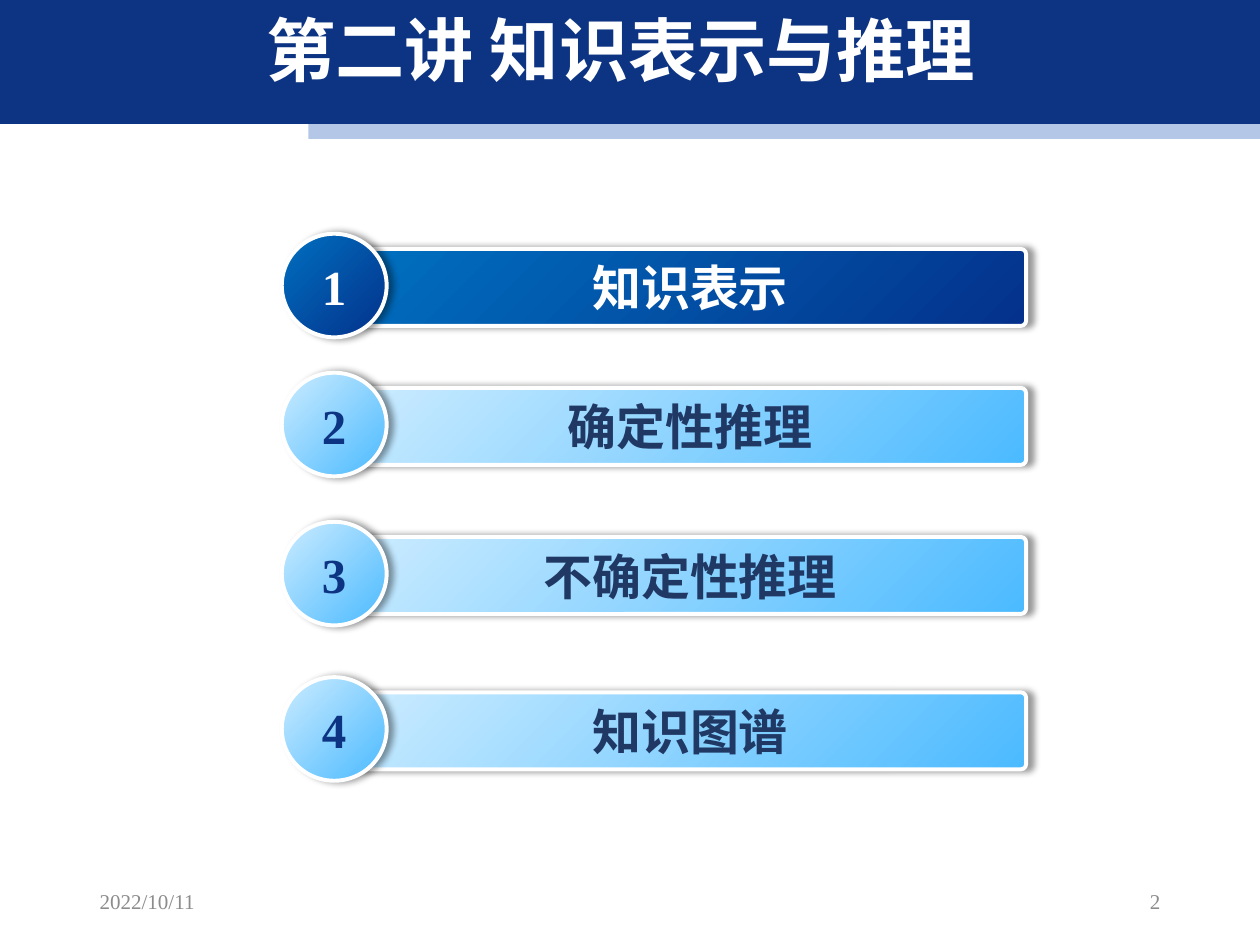
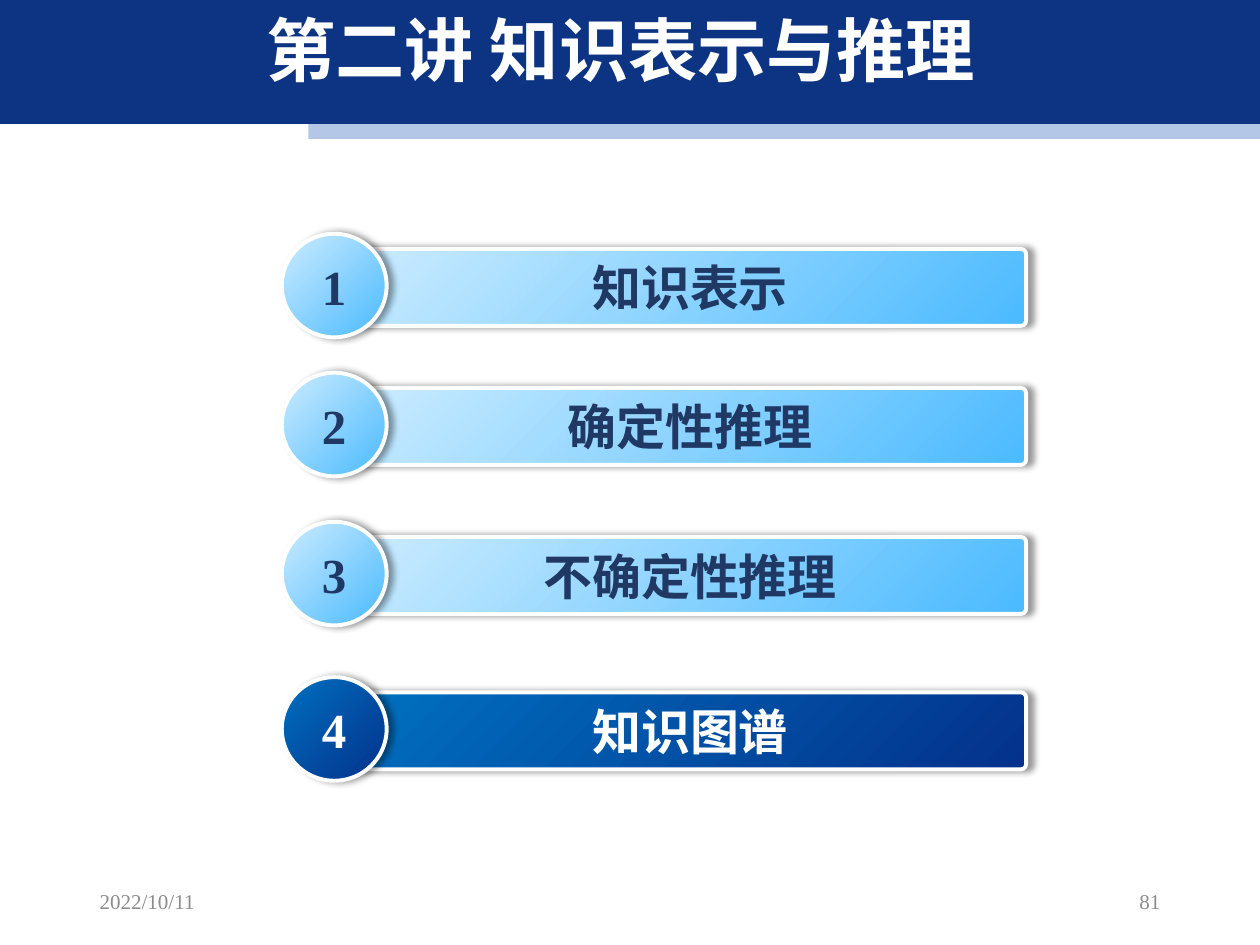
from lxml import etree
from pptx import Presentation
from pptx.dml.color import RGBColor
from pptx.enum.shapes import MSO_SHAPE
from pptx.enum.text import MSO_ANCHOR, MSO_AUTO_SIZE, PP_ALIGN
from pptx.oxml.ns import qn
from pptx.util import Inches, Pt

COLORS = {
    "white": "FFFFFF",
    "navy": "0D3482",
    "pale_blue": "B4C7E7",
    "ink": "203864",
    "gray": "8C8C8C",
    "active_start": "0070C0",
    "active_end": "04318B",
    "idle_start": "CCECFF",
    "idle_end": "4BBAFF",
    "shadow": "000000",
}
CJK_FONT = "Noto Sans CJK SC"
LATIN_FONT = "Times New Roman"
TITLE_FONT = {"name": CJK_FONT, "size": Pt(39.5), "bold": True}
TOPIC_FONT = {"name": LATIN_FONT, "size": Pt(27.9), "bold": True}
FOOTER_FONT = {"name": LATIN_FONT, "size": Pt(12), "bold": False}

LECTURE = "第二讲 知识表示与推理"
DATE = "2022/10/11"
TOPICS = ["知识表示", "确定性推理", "不确定性推理", "知识图谱"]
TOPIC_TOPS = [1.85, 2.95, 4.13, 5.36]
BANDS = [
    ((2.44, 0.98, 7.54, 0.12), "pale_blue"),
    ((0, -0.04, 9.97, 1.02), "navy"),
]
SLIDES = [
    {"active": 1, "digit_color": "navy", "page": "2"},
    {"active": 4, "digit_color": "ink", "page": "81"},
]


def color(name):
    return RGBColor.from_string(COLORS[name])


def inches(box):
    return [Inches(length) for length in box]


def write_text(shape, text, font_format, color_name, alignment=PP_ALIGN.CENTER):
    """Put one vertically centred paragraph into a shape."""
    frame = shape.text_frame
    frame_format = {"word_wrap": True, "auto_size": MSO_AUTO_SIZE.NONE,
                    "vertical_anchor": MSO_ANCHOR.MIDDLE}
    for name, value in frame_format.items():
        setattr(frame, name, value)
    paragraph = frame.paragraphs[0]
    paragraph.alignment = alignment
    run = paragraph.add_run()
    run.text = text
    for name, value in font_format.items():
        setattr(run.font, name, value)
    run.font.color.rgb = color(color_name)
    east_asian = etree.SubElement(run.font._element, qn("a:ea"))
    east_asian.set("typeface", CJK_FONT)
    return paragraph


def add_shadow(shape):
    shape.shadow.inherit = False
    effects = shape.element.spPr.find(qn("a:effectLst"))
    shadow = etree.SubElement(effects, qn("a:outerShdw"), blurRad=str(Pt(4)),
                              dist=str(Pt(3)), dir="0", algn="l", rotWithShape="0")
    shade = etree.SubElement(shadow, qn("a:srgbClr"), val=COLORS["shadow"])
    etree.SubElement(shade, qn("a:alpha"), val="40000")


def add_bands(layout, slide):
    """Draw the header bands and move them to the layout, behind its text."""
    for position, (box, color_name) in enumerate(BANDS, start=2):
        band = slide.shapes.add_shape(MSO_SHAPE.RECTANGLE, *inches(box))
        band.shadow.inherit = False
        band.fill.solid()
        band.fill.fore_color.rgb = color(color_name)
        band.line.fill.background()
        layout.shapes.element.insert(position, band.element)


def add_title(slide, box):
    title = slide.shapes.title
    title.left, title.top, title.width, title.height = inches(box)
    write_text(title, LECTURE, TITLE_FONT, "white").line_spacing = 0.9


def add_glossy_shape(group, preset, box, state, text, text_color):
    shape = group.shapes.add_shape(preset, *inches(box))
    shape.fill.gradient()
    shape.fill.gradient_angle = 315
    for stop, end in zip(shape.fill.gradient_stops, ("start", "end")):
        stop.color.rgb = color(f"{state}_{end}")
    shape.line.color.rgb = color("white")
    shape.line.width = Pt(2.25)
    add_shadow(shape)
    write_text(shape, text, TOPIC_FONT, text_color)
    return shape


def add_topic(slide, left, top, number, topic, active, digit_color):
    """Group a topic bar with the numbered disc over its left end."""
    state = "active" if active else "idle"
    group = slide.shapes.add_group_shape()
    bar = add_glossy_shape(group, MSO_SHAPE.ROUNDED_RECTANGLE,
                           (left + 0.57, top + 0.12, 5.32, 0.61), state,
                           topic, "white" if active else "ink")
    bar.adjustments[0] = 0.07
    add_glossy_shape(group, MSO_SHAPE.OVAL, (left, top, 0.83, 0.82), state,
                     str(number), "white" if active else digit_color)


def add_footer(slide, top, page):
    for left, text, alignment in ((0.69, DATE, PP_ALIGN.LEFT),
                                  (7.04, page, PP_ALIGN.RIGHT)):
        text_box = slide.shapes.add_textbox(*inches((left, top, 2.24, 0.4)))
        write_text(text_box, text, FOOTER_FONT, "gray", alignment)


def add_agenda_slide(slide, active, digit_color, page):
    add_title(slide, (1.14, 0.1, 7.54, 0.66))
    for number, (topic, top) in enumerate(zip(TOPICS, TOPIC_TOPS), start=1):
        add_topic(slide, 2.23, top, number, topic, number == active, digit_color)
    add_footer(slide, 6.93, page)


def main():
    presentation = Presentation()
    presentation.slide_width = Inches(9.97)
    presentation.slide_height = Inches(7.48)
    layout = presentation.slide_layouts.get_by_name("Title Only")
    slides = [presentation.slides.add_slide(layout) for _ in SLIDES]
    add_bands(layout, slides[0])
    for slide, content in zip(slides, SLIDES):
        add_agenda_slide(slide, **content)
    presentation.save("out.pptx")


if __name__ == "__main__":
    main()
